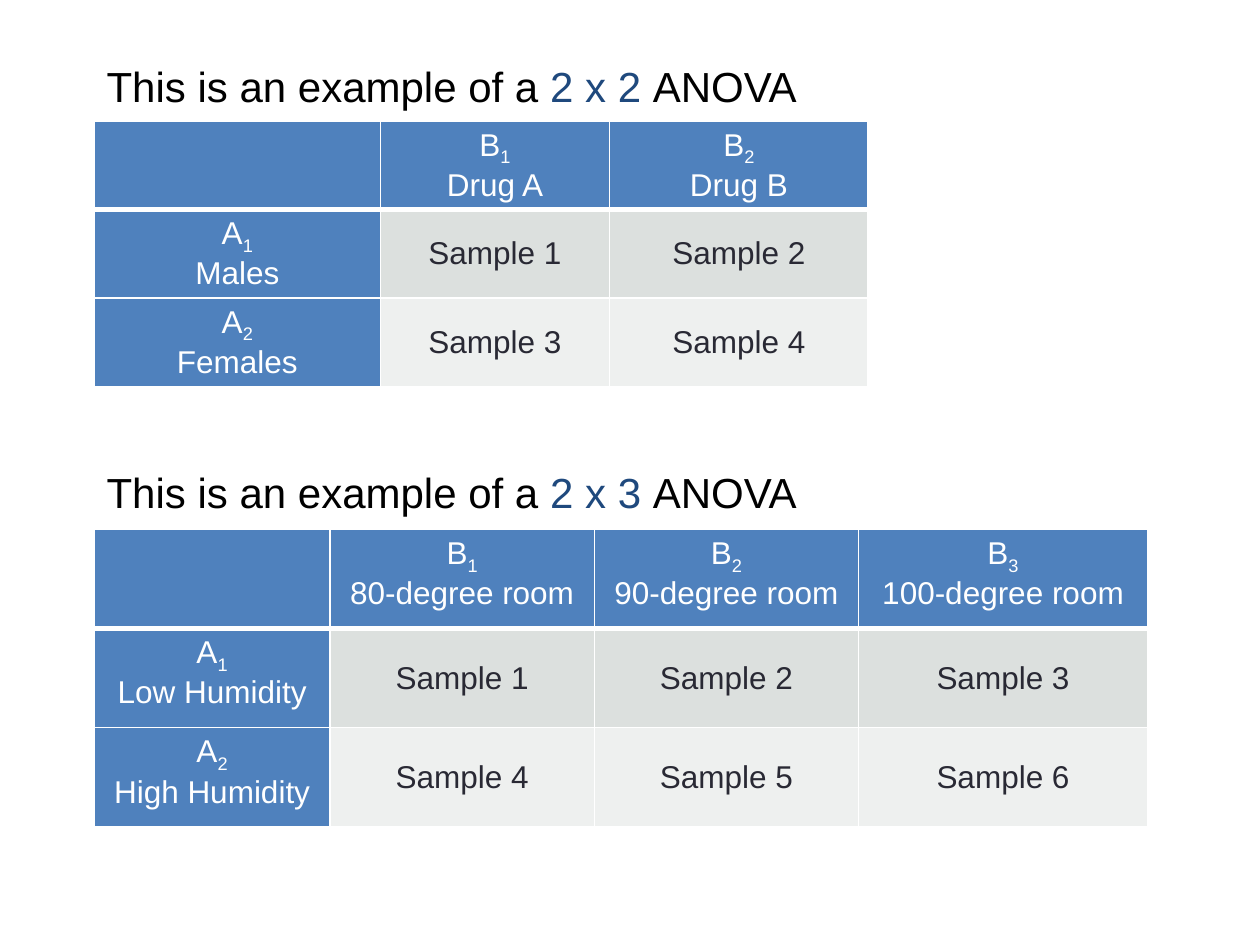
from lxml.etree import SubElement as Sub
from pptx import Presentation
from pptx.dml.color import RGBColor as RGB
from pptx.enum.text import MSO_ANCHOR as Anchor, MSO_AUTO_SIZE as Fit, PP_ALIGN as Align
from pptx.oxml.ns import qn
from pptx.util import Cm, Pt

WHITE = RGB(0xFF, 0xFF, 0xFF)
BLACK = RGB(0, 0, 0)
NAVY = RGB(0x1F, 0x49, 0x7D)
BLUE = RGB(0x4F, 0x81, 0xBD)
INK = RGB(0x29, 0x29, 0x34)
BANDS = [RGB(0xDC, 0xE0, 0xDE), RGB(0xEE, 0xF0, 0xEF)]
FONT = "Arial"
LEFT = 1.9


class Deck:
    def __init__(self):
        self.prs = Presentation()
        self.prs.slide_width, self.prs.slide_height = Cm(25.4), Cm(19.05)
        self.slide = self.prs.slides.add_slide(self.prs.slide_layouts[6])

    def run(self, para, text, size, color):
        run = para.add_run()
        run.text = text
        run.font.name, run.font.size = FONT, Pt(size)
        run.font.color.rgb = color
        return run

    def title(self, top, design):
        box = self.slide.shapes.add_textbox(Cm(LEFT), Cm(top), Cm(15.6), Cm(1.28))
        frame = box.text_frame
        frame.word_wrap = True
        frame.auto_size = Fit.SHAPE_TO_FIT_TEXT
        para = frame.paragraphs[0]
        self.run(para, "This is an example of a ", 24, BLACK)
        self.run(para, design + " ", 24, NAVY)
        self.run(para, "ANOVA", 24, BLACK)

    def label(self, para, sign, name):
        self.run(para, sign[0], 18, WHITE)
        low = self.run(para, sign[1], 18, WHITE)
        low.font._element.set("baseline", "-25000")
        para.add_line_break()
        self.run(para, name, 18, WHITE)

    def border(self, cell, row):
        props = cell._tc.get_or_add_tcPr()
        top, base = (3 if row == 1 else 1), (3 if row == 0 else 1)
        sides = {"lnL": 1, "lnR": 1, "lnT": top, "lnB": base}
        for spot, (side, width) in enumerate(sides.items()):
            line = Sub(props, qn("a:" + side), w=str(Pt(width)))
            fill = Sub(line, qn("a:solidFill"))
            Sub(fill, qn("a:srgbClr"), val=str(WHITE))
            props.insert(spot, line)

    def cell(self, cell, row, fill, anchor, pad):
        cell.fill.solid()
        cell.fill.fore_color.rgb = fill
        cell.vertical_anchor = anchor
        cell.margin_left = cell.margin_right = Cm(pad)
        cell.margin_top = cell.margin_bottom = Cm(0.13)
        self.border(cell, row)
        para = cell.text_frame.paragraphs[0]
        para.alignment = Align.CENTER
        return para

    def table(self, top, widths, height, heads, sides, anchor, pad):
        rows, cols = len(sides) + 1, len(widths)
        grid = self.slide.shapes.add_table(
            rows, cols, Cm(LEFT), Cm(top), Cm(sum(widths)), Cm(height * rows)).table
        for col, width in zip(grid.columns, widths):
            col.width = Cm(width)
        for r, row in enumerate(grid.rows):
            row.height = Cm(height)
            for c, cell in enumerate(row.cells):
                if r and c:
                    para = self.cell(cell, r, BANDS[r - 1], Anchor.MIDDLE, pad)
                    count = (r - 1) * (cols - 1) + c
                    self.run(para, f"Sample {count}", 18, INK)
                    continue
                para = self.cell(cell, r, BLUE, anchor, pad)
                if c:
                    self.label(para, f"B{c}", heads[c - 1])
                elif r:
                    self.label(para, f"A{r}", sides[r - 1])


def main():
    deck = Deck()
    deck.table(10.67, [4.75, 5.33, 5.33, 5.82], 2,
               ["80-degree room", "90-degree room", "100-degree room"],
               ["Low Humidity", "High Humidity"], Anchor.TOP, 0.18)
    deck.table(2.44, [5.77, 4.62, 5.21], 1.78, ["Drug A", "Drug B"],
               ["Males", "Females"], Anchor.MIDDLE, 0.25)
    deck.title(1.09, "2 x 2")
    deck.title(9.27, "2 x 3")
    deck.prs.save("out.pptx")


if __name__ == "__main__":
    main()
